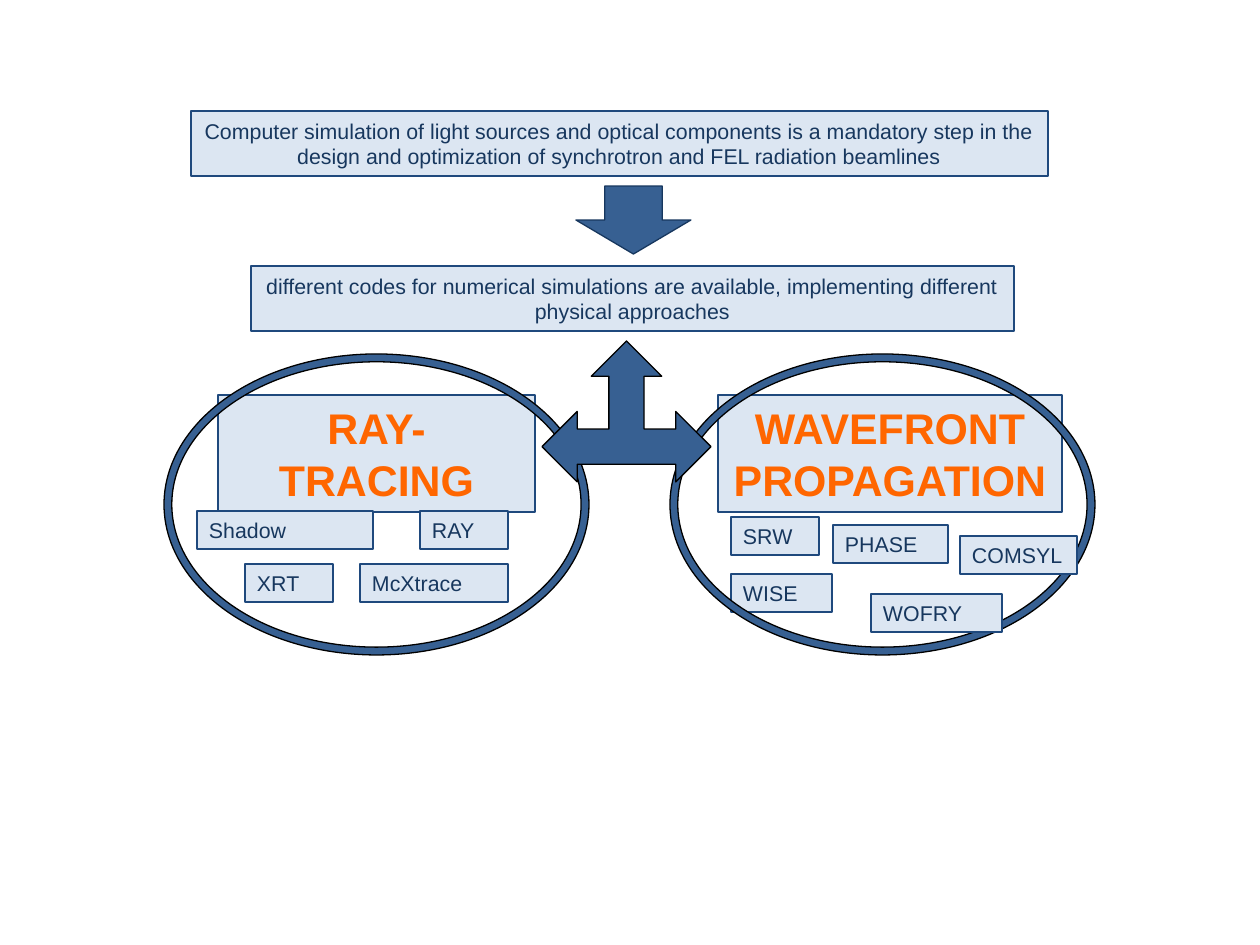
from pptx import Presentation
from pptx import util as u
from pptx.dml.color import RGBColor
from pptx.enum import shapes, text

KIND = shapes.MSO_SHAPE
SCALE = 914400 / 126
NAVY, BLUE, PALE = "17375E", "376092", "DCE6F2"
EDGE, BLACK, ORANGE = "1F497D", "000000", "FF6600"

INTRO = ("Computer simulation of light sources and optical components is a mandatory step "
         "in the design and optimization of synchrotron and FEL radiation beamlines")
CODES = ("different codes for numerical simulations are available, "
         "implementing different physical approaches")
LOWER = [("Shadow", 197, 511, 176), ("RAY", 420, 511, 88),
         ("XRT", 245, 564, 88), ("McXtrace", 360, 564, 148),
         ("SRW", 731, 517, 88), ("PHASE", 833, 525, 115), ("WISE", 731, 574, 101)]
UPPER = [("WOFRY", 871, 594, 131), ("COMSYL", 960, 536, 117)]


def px(num):
    """Turn pixels into EMU."""
    return u.Emu(round(num * SCALE))


def tint(code):
    """Turn a hex string into a colour."""
    return RGBColor.from_string(code)


def draw(slide, kind, box, fill, line):
    """Add a flat preset shape with a thin outline."""
    shape = slide.shapes.add_shape(kind, *map(px, box))
    shape.shadow.inherit = False
    shape.fill.solid()
    shape.fill.fore_color.rgb = tint(fill)
    shape.line.color.rgb = tint(line)
    shape.line.width = u.Pt(0.75)
    return shape


def label(slide, words, box, size=12.2, color=NAVY, bold=False,
          align=text.PP_ALIGN.CENTER, pad=12):
    """Add a pale box holding one paragraph per line of words."""
    frame = draw(slide, KIND.RECTANGLE, box, PALE, EDGE).text_frame
    frame.word_wrap = True
    frame.margin_left = frame.margin_right = px(pad)
    frame.vertical_anchor = text.MSO_ANCHOR.MIDDLE
    frame.text = words
    for para in frame.paragraphs:
        para.alignment = align
        font = para.font
        font.name, font.size, font.bold = "Arial", u.Pt(size), bold
        font.color.rgb = tint(color)


def head(slide, words, box):
    """Add the large heading of one approach."""
    label(slide, words, box, 24.5, ORANGE, True, pad=14)


def chips(slide, rows):
    """Add the small boxes that name the codes."""
    for name, left, top, width in rows:
        label(slide, name, (left, top, width, 38), align=text.PP_ALIGN.LEFT)


def ring(slide, left):
    """Add a thin oval ring around one approach."""
    shape = draw(slide, KIND.DONUT, (left, 354, 425, 301), BLUE, BLACK)
    shape.adjustments[0] = 0.026


def main():
    """Build and save the slide."""
    deck = Presentation()
    deck.slide_width, deck.slide_height = px(1260), px(945)
    slide = deck.slides.add_slide(deck.slide_layouts[6])
    label(slide, INTRO, (191, 111, 857, 65))
    label(slide, CODES, (251, 266, 763, 65))
    head(slide, "RAY-TRACING", (218, 395, 317, 117))
    head(slide, "WAVEFRONT\nPROPAGATION", (718, 395, 344, 117))
    draw(slide, KIND.DOWN_ARROW, (576, 186, 115, 68), BLUE, NAVY)
    chips(slide, LOWER)
    for left in (670, 164):
        ring(slide, left)
    draw(slide, KIND.LEFT_RIGHT_UP_ARROW, (542, 341, 169, 141), BLUE, BLACK)
    chips(slide, UPPER)
    deck.save("out.pptx")


if __name__ == "__main__":
    main()
